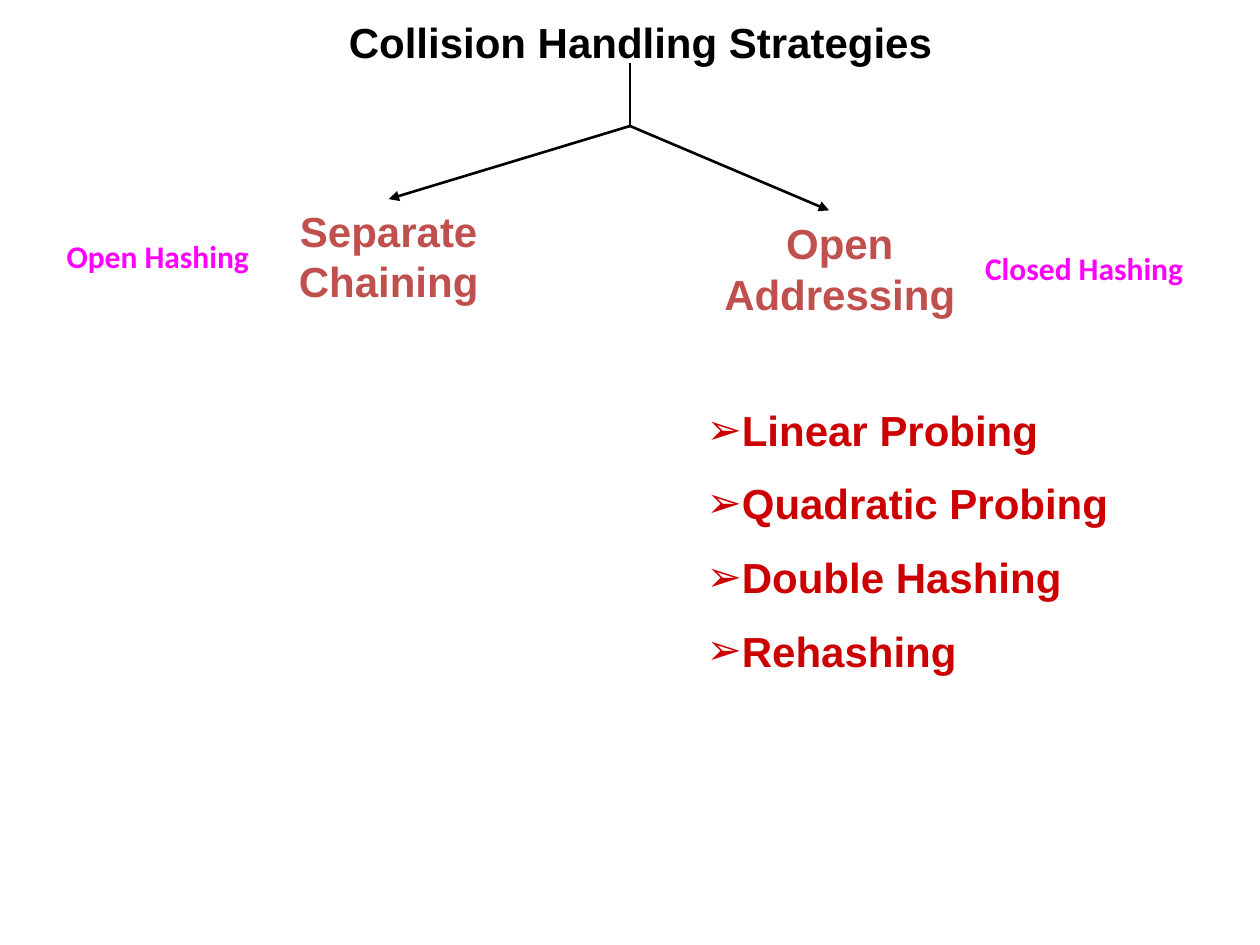
from lxml.etree import SubElement
from pptx import Presentation
from pptx.dml.color import RGBColor
from pptx.enum.shapes import MSO_CONNECTOR as Connector
from pptx.enum.text import MSO_AUTO_SIZE as AutoSize, PP_ALIGN as Align
from pptx.oxml.ns import qn
from pptx.util import Inches, Pt


def color(value):
    return RGBColor.from_string(value)


def add_bullet(paragraph, symbol):
    properties = paragraph._p.get_or_add_pPr()
    properties.set("marL", "0")
    properties.set("indent", "0")
    SubElement(properties, qn("a:buFont")).set("typeface", "Arial")
    SubElement(properties, qn("a:buChar")).set("char", symbol)


def write_text(paragraph, text, size=24, font="Arial", fill="000000",
               align=Align.LEFT, bullet=None, space=0):
    paragraph.alignment = align
    if space:
        paragraph.space_before = Pt(space)
    if bullet:
        add_bullet(paragraph, bullet)
    run = paragraph.add_run()
    run.text = text
    run.font.size = Pt(size)
    run.font.name = font
    run.font.bold = True
    run.font.color.rgb = color(fill)


class Diagram:
    """Draws styled text and lines on the current slide."""

    ink = "000000"
    line_width = 1.5
    paragraph_gap = 13.25

    def __init__(self, slide):
        self.slide = slide

    def text(self, lines, left, top, width, height, **style):
        shape = self.slide.shapes.add_textbox(
            Inches(left), Inches(top), Inches(width), Inches(height))
        frame = shape.text_frame
        frame.word_wrap = True
        frame.auto_size = AutoSize.SHAPE_TO_FIT_TEXT
        for index, line in enumerate(lines):
            paragraph = frame.add_paragraph() if index else frame.paragraphs[0]
            write_text(paragraph, line, space=self.paragraph_gap if index else 0, **style)
        return shape

    def line(self, start, end, arrow=False):
        connector = self.slide.shapes.add_connector(
            Connector.STRAIGHT, *(Inches(value) for value in (*start, *end)))
        connector.line.color.rgb = color(self.ink)
        connector.line.width = Pt(self.line_width)
        if arrow:
            SubElement(connector.line._get_or_add_ln(), qn("a:tailEnd")).set("type", "triangle")
        SubElement(connector._element.spPr, qn("a:effectLst"))
        return connector


def main():
    presentation = Presentation()
    presentation.slide_width = Inches(10)
    presentation.slide_height = Inches(7.5)
    diagram = Diagram(presentation.slides.add_slide(presentation.slide_layouts[6]))

    branch_style = dict(fill="C0504D", align=Align.CENTER)
    alias_style = dict(size=18, font="Calibri", fill="FF00FF")

    diagram.text(["Collision Handling Strategies"], 2.67, 0.08, 4.92, 0.5)
    chaining = diagram.text(["Separate Chaining"], 2.17, 1.58, 1.83, 0.9, **branch_style)
    diagram.text(["Open Addressing"], 5.25, 1.68, 2.83, 0.9, **branch_style)
    diagram.text(["Linear Probing", "Quadratic Probing", "Double Hashing", "Rehashing"],
                 5.51, 3.16, 4.05, 2.32, fill="CC0000", bullet="➢")

    fork = (5, 1)
    diagram.line((5, 0.5), fork)
    diagram.line(fork, (3.08, 1.58), arrow=True).end_connect(chaining, 0)
    diagram.line(fork, (6.58, 1.67), arrow=True)

    diagram.text(["Closed Hashing"], 7.72, 1.93, 1.97, 0.4, **alias_style)
    diagram.text(["Open Hashing"], 0.43, 1.83, 1.97, 0.4, **alias_style)

    presentation.save("out.pptx")


if __name__ == "__main__":
    main()
